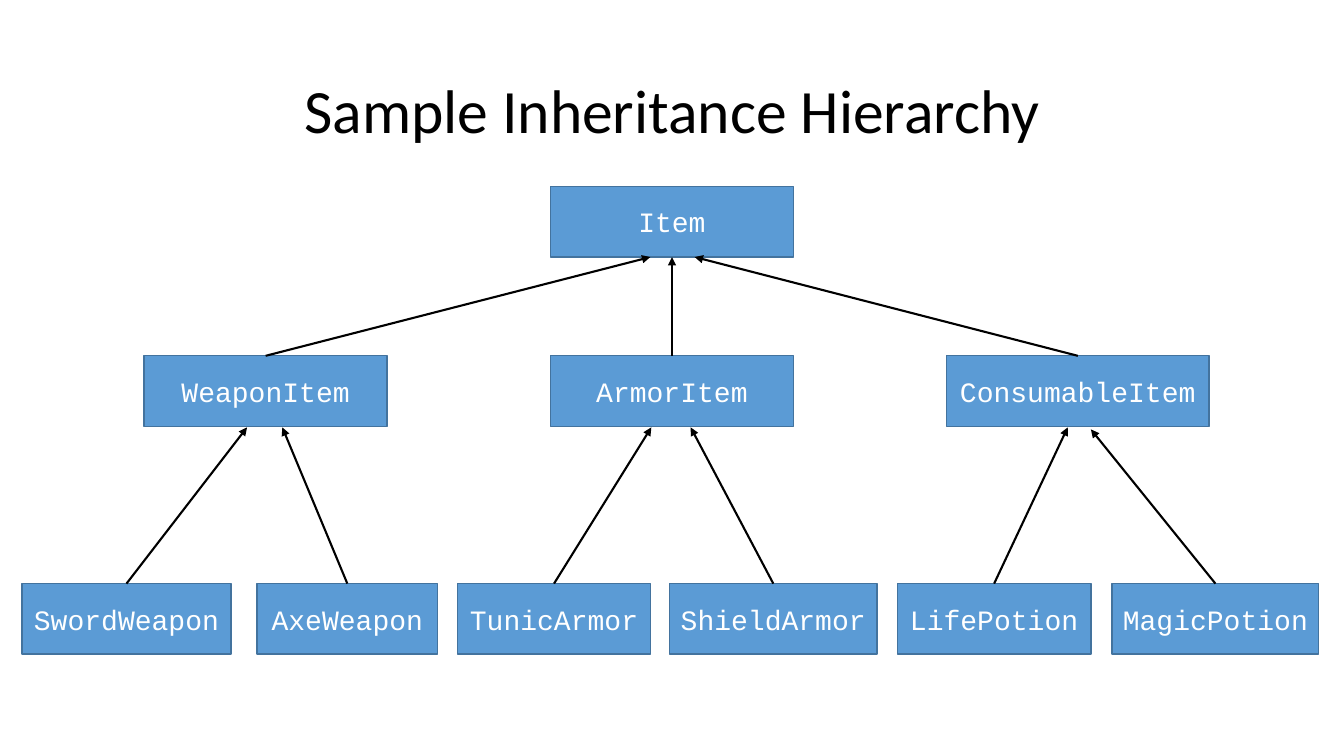
"""Build a slide showing a class inheritance hierarchy as a tree of boxes."""
from dataclasses import dataclass

from pptx import Presentation
from pptx.dml.color import RGBColor
from pptx.enum.shapes import MSO_CONNECTOR as Connector, MSO_SHAPE as Preset
from pptx.enum.text import MSO_ANCHOR as Anchor, PP_ALIGN as Align
from pptx.oxml.ns import qn
from pptx.oxml.xmlchemy import OxmlElement
from pptx.shapes.autoshape import Shape
from pptx.slide import Slide
from pptx.util import Emu, Pt

EMU_PER_PX = 9144
BOX_HEIGHT = 70
ROOT_TOP, BRANCH_TOP, LEAF_TOP = 185, 353, 579

BLACK = RGBColor(0x00, 0x00, 0x00)
WHITE = RGBColor(0xFF, 0xFF, 0xFF)
BOX_FILL = RGBColor(0x5B, 0x9B, 0xD5)
BOX_LINE = RGBColor(0x43, 0x73, 0x9E)


@dataclass(frozen=True)
class ClassBox:
    """A class in the hierarchy, named with its place and width."""
    name: str
    left: int
    top: int
    width: int


@dataclass(frozen=True)
class Inheritance:
    """An arrow from a child class to a point on its parent's lower edge."""
    child: str
    parent: str
    tip_x: int
    tip_y: int


CLASS_BOXES = [
    ClassBox("Item", 546, ROOT_TOP, 241),
    ClassBox("WeaponItem", 143, BRANCH_TOP, 241),
    ClassBox("ArmorItem", 546, BRANCH_TOP, 241),
    ClassBox("ConsumableItem", 939, BRANCH_TOP, 260),
    ClassBox("SwordWeapon", 22, LEAF_TOP, 207),
    ClassBox("AxeWeapon", 255, LEAF_TOP, 179),
    ClassBox("TunicArmor", 454, LEAF_TOP, 191),
    ClassBox("ShieldArmor", 664, LEAF_TOP, 206),
    ClassBox("LifePotion", 890, LEAF_TOP, 192),
    ClassBox("MagicPotion", 1103, LEAF_TOP, 205),
]

INHERITANCES = [
    Inheritance("WeaponItem", "Item", 645, 255),
    Inheritance("ArmorItem", "Item", 667, 255),
    Inheritance("ConsumableItem", "Item", 689, 255),
    Inheritance("SwordWeapon", "WeaponItem", 245, 424),
    Inheritance("AxeWeapon", "WeaponItem", 280, 424),
    Inheritance("TunicArmor", "ArmorItem", 646, 424),
    Inheritance("ShieldArmor", "ArmorItem", 685, 424),
    Inheritance("LifePotion", "ConsumableItem", 1059, 424),
    Inheritance("MagicPotion", "ConsumableItem", 1082, 426),
]


def px(length: int) -> Emu:
    """Convert slide pixels to EMU."""
    return Emu(length * EMU_PER_PX)


def write_text(shape: Shape, text: str, font_name: str, size: int, color: RGBColor) -> None:
    """Write one centred line in the middle of a shape."""
    frame = shape.text_frame
    frame.word_wrap = True
    frame.vertical_anchor = Anchor.MIDDLE
    paragraph = frame.paragraphs[0]
    paragraph.text = text
    paragraph.alignment = Align.CENTER
    paragraph.font.name = font_name
    paragraph.font.size = Pt(size)
    paragraph.font.color.rgb = color


def add_title(slide: Slide, text: str) -> None:
    """Add the slide title."""
    title = slide.shapes.add_textbox(px(92), px(40), px(1150), px(145))
    write_text(title, text, "Calibri", 44, BLACK)
    title.text_frame.paragraphs[0].line_spacing = 0.9


def add_class_box(slide: Slide, box: ClassBox) -> Shape:
    """Draw one class as a labelled rectangle."""
    shape = slide.shapes.add_shape(
        Preset.RECTANGLE, px(box.left), px(box.top), px(box.width), px(BOX_HEIGHT)
    )
    shape.shadow.inherit = False
    shape.fill.solid()
    shape.fill.fore_color.rgb = BOX_FILL
    shape.line.color.rgb = BOX_LINE
    shape.line.width = Pt(1)
    write_text(shape, box.name, "Courier New", 20, WHITE)
    return shape


def add_inheritance(slide: Slide, link: Inheritance, shapes: dict[str, Shape]) -> None:
    """Draw an arrow from the child's top to its parent."""
    child, parent = shapes[link.child], shapes[link.parent]
    connector = slide.shapes.add_connector(
        Connector.STRAIGHT, child.left + child.width // 2, child.top,
        px(link.tip_x), px(link.tip_y)
    )
    connector.begin_connect(child, 0)
    if child.left + child.width // 2 == parent.left + parent.width // 2:
        connector.end_connect(parent, 2)
    connector.line.color.rgb = BLACK
    connector.line.width = Pt(1.5)
    arrowhead = OxmlElement("a:tailEnd")
    arrowhead.set("type", "triangle")
    properties = connector._element.spPr
    properties.find(qn("a:ln")).append(arrowhead)
    properties.append(OxmlElement("a:effectLst"))


def main() -> None:
    """Build and save the presentation."""
    presentation = Presentation()
    presentation.slide_width = px(1333)
    presentation.slide_height = px(750)
    slide = presentation.slides.add_slide(presentation.slide_layouts[6])
    add_title(slide, "Sample Inheritance Hierarchy")
    shapes = {box.name: add_class_box(slide, box) for box in CLASS_BOXES}
    for link in INHERITANCES:
        add_inheritance(slide, link, shapes)
    presentation.save("out.pptx")


if __name__ == "__main__":
    main()
